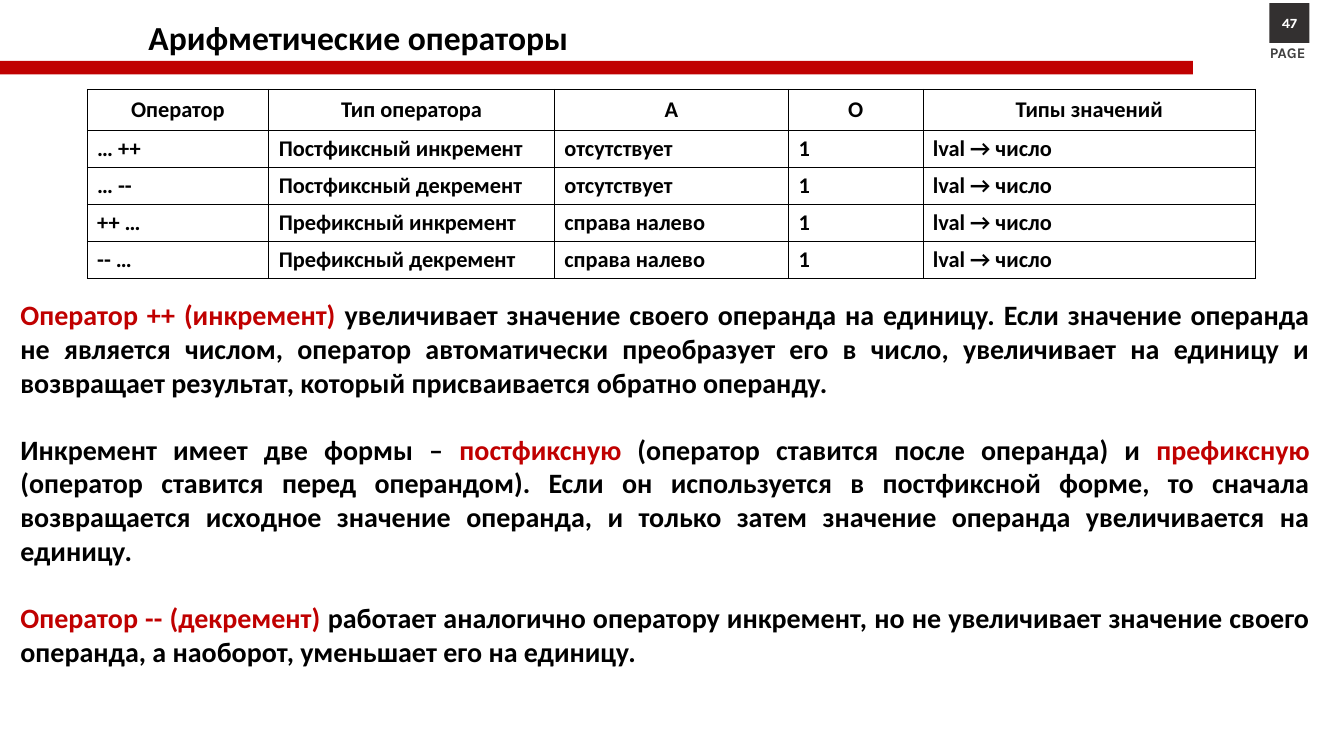
from dataclasses import dataclass

from lxml.etree import SubElement
from pptx import Presentation
from pptx.dml.color import RGBColor
from pptx.enum.shapes import MSO_SHAPE
from pptx.enum.text import MSO_ANCHOR, MSO_AUTO_SIZE, PP_ALIGN
from pptx.oxml.ns import qn
from pptx.util import Pt


@dataclass(frozen=True)
class Theme:
    ink: str = "000000"
    accent: str = "C00000"
    badge: str = "333030"
    caption: str = "404040"
    paper: str = "FFFFFF"
    font: str = "Calibri"
    label_font: str = "Karla"
    title_size: float = 24
    body_size: float = 20
    table_size: float = 16
    caption_size: float = 10.5
    number_size: float = 10
    border: float = 0.5


def write(tf, text, *, size, font, color, align=PP_ALIGN.LEFT,
          anchor=MSO_ANCHOR.TOP, line=None, gap=0):
    paragraphs = [[(text, color)]] if isinstance(text, str) else text
    tf.vertical_anchor = anchor
    for i, runs in enumerate(paragraphs):
        p = tf.add_paragraph() if i else tf.paragraphs[0]
        p.alignment = align
        if line:
            p.line_spacing = line
        if i:
            p.space_before = Pt(gap)
        for content, run_color in runs:
            r = p.add_run()
            r.text = content
            r.font.name = font
            r.font.size = Pt(size)
            r.font.bold = True
            r.font.color.rgb = RGBColor.from_string(run_color)


class Deck:
    PX = 9525

    def __init__(self, theme, width, height):
        self.theme = theme
        self.prs = Presentation()
        self.prs.slide_width = width * self.PX
        self.prs.slide_height = height * self.PX
        self.s = self.prs.slides.add_slide(self.prs.slide_layouts[6])

    def px(self, *lengths):
        return [n * self.PX for n in lengths]

    def text(self, box, text, wrap=True, grow=False, **fmt):
        tf = self.s.shapes.add_textbox(*self.px(*box)).text_frame
        tf.word_wrap = wrap
        tf.auto_size = MSO_AUTO_SIZE.SHAPE_TO_FIT_TEXT if grow else MSO_AUTO_SIZE.NONE
        write(tf, text, **fmt)

    def rect(self, box, fill, text=None, **fmt):
        sp = self.s.shapes.add_shape(MSO_SHAPE.RECTANGLE, *self.px(*box))
        sp.shadow.inherit = False
        sp.fill.solid()
        sp.fill.fore_color.rgb = RGBColor.from_string(fill)
        sp.line.fill.background()
        if text:
            write(sp.text_frame, text, anchor=MSO_ANCHOR.MIDDLE,
                  align=PP_ALIGN.CENTER, **fmt)

    def borders(self, cell):
        pr = cell._tc.get_or_add_tcPr()
        for side in ("lnL", "lnR", "lnT", "lnB"):
            ln = SubElement(pr, qn(f"a:{side}"), w=str(Pt(self.theme.border)))
            fill = SubElement(ln, qn("a:solidFill"))
            SubElement(fill, qn("a:srgbClr"), val=self.theme.ink)

    def table(self, left, top, widths, heights, rows, **fmt):
        box = self.px(left, top, sum(widths), sum(heights))
        table = self.s.shapes.add_table(len(rows), len(widths), *box).table
        table.horz_banding = False
        for column, width in zip(table.columns, self.px(*widths)):
            column.width = width
        for row, height in zip(table.rows, self.px(*heights)):
            row.height = height
        for i, values in enumerate(rows):
            for j, value in enumerate(values):
                cell = table.cell(i, j)
                self.borders(cell)
                cell.fill.background()
                cell.vertical_anchor = MSO_ANCHOR.MIDDLE
                write(cell.text_frame, value, anchor=None,
                      align=PP_ALIGN.LEFT if i else PP_ALIGN.CENTER, **fmt)


def main():
    t = Theme()
    deck = Deck(t, 1280, 720)

    deck.text((132, 3, 1148, 69), "Арифметические операторы", size=t.title_size,
              font=t.font, color=t.ink, anchor=MSO_ANCHOR.MIDDLE, line=0.9)
    deck.text((1200, 37, 57, 27), "PAGE", wrap=False, grow=True,
              size=t.caption_size, font=t.label_font, color=t.caption)
    deck.rect((1209, 3, 38, 38), t.badge, "47", size=t.number_size,
              font=t.label_font, color=t.paper)
    deck.rect((0, 58, 1136, 13), t.accent)

    explanation = [
        [("Оператор ++ (инкремент) ", t.accent),
         ("увеличивает значение своего операнда на единицу. Если значение "
          "операнда не является числом, оператор автоматически преобразует "
          "его в число, увеличивает на единицу и возвращает результат, "
          "который присваивается обратно операнду.", t.ink)],
        [("Инкремент имеет две формы – ", t.ink),
         ("постфиксную", t.accent),
         (" (оператор ставится после операнда) и ", t.ink),
         ("префиксную", t.accent),
         (" (оператор ставится перед операндом). Если он используется в "
          "постфиксной форме, то сначала возвращается исходное значение "
          "операнда, и только затем значение операнда увеличивается на "
          "единицу.", t.ink)],
        [("Оператор -- (декремент) ", t.accent),
         ("работает аналогично оператору инкремент, но не увеличивает "
          "значение своего операнда, а наоборот, уменьшает его на единицу.",
          t.ink)],
    ]
    deck.text((10, 279, 1247, 365), explanation, grow=True, size=t.body_size,
              font=t.font, color=t.ink, align=PP_ALIGN.JUSTIFY, gap=24)

    operators = [
        ("… ++", "Постфиксный инкремент", "отсутствует"),
        ("… --", "Постфиксный декремент", "отсутствует"),
        ("++ …", "Префиксный инкремент", "справа налево"),
        ("-- …", "Префиксный декремент", "справа налево"),
    ]
    rows = [("Оператор", "Тип оператора", "А", "О", "Типы значений")]
    rows += [(*operator, "1", "lval → число") for operator in operators]
    deck.table(83, 85, (173, 272, 223, 128, 317), [39] + [35] * len(operators),
               rows, size=t.table_size, font=t.font, color=t.ink)

    deck.prs.save("out.pptx")


if __name__ == "__main__":
    main()
